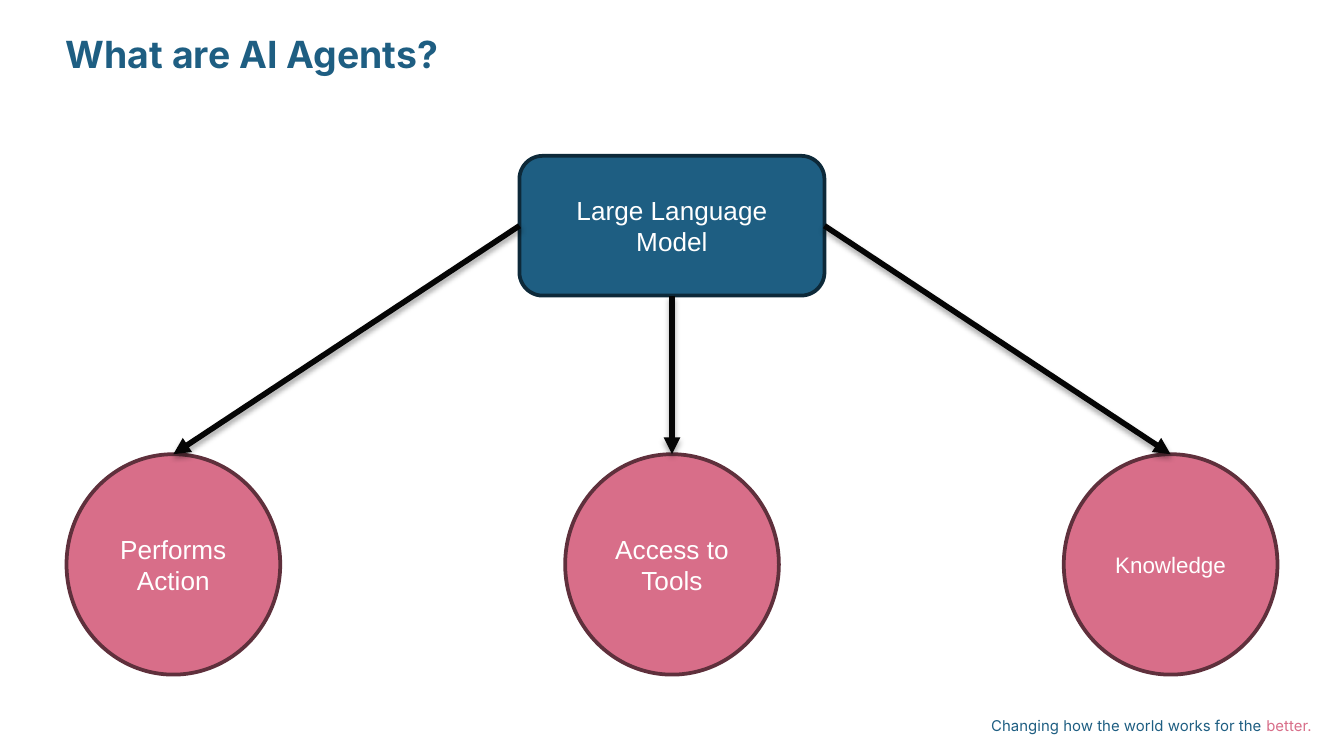
from dataclasses import dataclass

from lxml import etree
from pptx import Presentation
from pptx.dml.color import RGBColor
from pptx.enum.shapes import MSO_CONNECTOR, MSO_SHAPE
from pptx.enum.text import MSO_ANCHOR, MSO_AUTO_SIZE, PP_ALIGN
from pptx.oxml.ns import qn
from pptx.shapes.autoshape import Shape
from pptx.slide import Slide
from pptx.text.text import TextFrame
from pptx.util import Inches, Pt

BLUE = RGBColor(0x1E, 0x5E, 0x82)
NAVY = RGBColor(0x0D, 0x29, 0x39)
PINK = RGBColor(0xD8, 0x6E, 0x89)
PLUM = RGBColor(0x5F, 0x30, 0x3C)
BLACK = RGBColor(0x05, 0x05, 0x05)
WHITE = RGBColor(0xFF, 0xFF, 0xFF)

ROUNDED = MSO_SHAPE.ROUNDED_RECTANGLE
OVAL = MSO_SHAPE.OVAL
STRAIGHT = MSO_CONNECTOR.STRAIGHT
TOP, MIDDLE = MSO_ANCHOR.TOP, MSO_ANCHOR.MIDDLE
LEFT, CENTER, RIGHT = PP_ALIGN.LEFT, PP_ALIGN.CENTER, PP_ALIGN.RIGHT
NO_FIT = MSO_AUTO_SIZE.NONE
SITE_TOP, SITE_LEFT, SITE_BOTTOM, SITE_RIGHT = range(4)

CENTER_X = 5
CIRCLE_PITCH = 3.71


@dataclass
class Node:
    text: str
    center_x: float
    top: float
    width: float
    height: float
    shape: MSO_SHAPE
    fill: RGBColor
    line: RGBColor
    size: int = 14


@dataclass
class Capability:
    text: str
    size: int
    model_site: int


CAPABILITIES = [
    Capability("Performs Action", 14, SITE_LEFT),
    Capability("Access to Tools", 14, SITE_BOTTOM),
    Capability("Knowledge", 12, SITE_RIGHT),
]


def clear_margins(tf: TextFrame) -> None:
    tf.margin_left = tf.margin_right = tf.margin_top = tf.margin_bottom = 0
    tf.word_wrap = True
    tf.auto_size = NO_FIT
    tf.vertical_anchor = TOP


def add_title(slide: Slide, text: str) -> None:
    sp = slide.shapes.title
    sp.left, sp.top = Inches(0.49), Inches(0.27)
    sp.width, sp.height = Inches(8.12), Inches(0.33)
    tf = sp.text_frame
    clear_margins(tf)
    p = tf.paragraphs[0]
    p.text = text
    p.alignment = LEFT
    p.line_spacing = 0.9
    p.font.name = "Inter"
    p.font.size = Pt(20)
    p.font.bold = True
    p.font.color.rgb = BLUE


def add_tagline(slide: Slide) -> None:
    sp = slide.shapes.add_textbox(
        Inches(7.11), Inches(5.33), Inches(2.65), Inches(0.11)
    )
    tf = sp.text_frame
    clear_margins(tf)
    p = tf.paragraphs[0]
    p.alignment = RIGHT
    p.font.name = "Inter"
    p.font.size = Pt(8)
    for text, color in (
        ("Changing how the world works for the ", BLUE),
        ("better.", PINK),
    ):
        r = p.add_run()
        r.text = text
        r.font.color.rgb = color


def add_node(slide: Slide, node: Node) -> Shape:
    sp = slide.shapes.add_shape(
        node.shape,
        Inches(node.center_x - node.width / 2),
        Inches(node.top),
        Inches(node.width),
        Inches(node.height),
    )
    sp.shadow.inherit = False
    sp.fill.solid()
    sp.fill.fore_color.rgb = node.fill
    sp.line.color.rgb = node.line
    sp.line.width = Pt(2)
    tf = sp.text_frame
    tf.word_wrap = True
    tf.vertical_anchor = MIDDLE
    p = tf.paragraphs[0]
    p.text = node.text
    p.alignment = CENTER
    p.font.name = "Arial"
    p.font.size = Pt(node.size)
    p.font.color.rgb = WHITE
    return sp


def add_arrow(slide: Slide, start: Shape, site: int, end: Shape) -> None:
    arrow = slide.shapes.add_connector(STRAIGHT, 0, 0, 0, 0)
    arrow.begin_connect(start, site)
    arrow.end_connect(end, SITE_TOP)
    arrow.line.color.rgb = BLACK
    arrow.line.width = Pt(3)
    sp_pr = arrow._element.spPr
    etree.SubElement(sp_pr.find(qn("a:ln")), qn("a:tailEnd"), type="triangle")
    effects = etree.SubElement(sp_pr, qn("a:effectLst"))
    shadow = etree.SubElement(
        effects,
        qn("a:outerShdw"),
        blurRad=str(Pt(3.1)),
        dist=str(Pt(1.8)),
        dir="5400000",
        rotWithShape="0",
    )
    color = etree.SubElement(shadow, qn("a:srgbClr"), val="000000")
    etree.SubElement(color, qn("a:alpha"), val="35000")


def main() -> None:
    prs = Presentation()
    prs.slide_width = Inches(10)
    prs.slide_height = prs.slide_width * 9 // 16
    slide = prs.slides.add_slide(prs.slide_layouts.get_by_name("Title Only"))

    add_tagline(slide)
    add_title(slide, "What are AI Agents?")
    model = add_node(
        slide,
        Node("Large Language Model", CENTER_X, 1.16, 2.27, 1.04, ROUNDED, BLUE, NAVY),
    )
    circles = [
        add_node(
            slide,
            Node(c.text, CENTER_X + (i - 1) * CIRCLE_PITCH, 3.38, 1.59, 1.64,
                 OVAL, PINK, PLUM, c.size),
        )
        for i, c in enumerate(CAPABILITIES)
    ]
    for capability, circle in zip(CAPABILITIES, circles):
        add_arrow(slide, model, capability.model_site, circle)

    prs.save("out.pptx")


if __name__ == "__main__":
    main()
